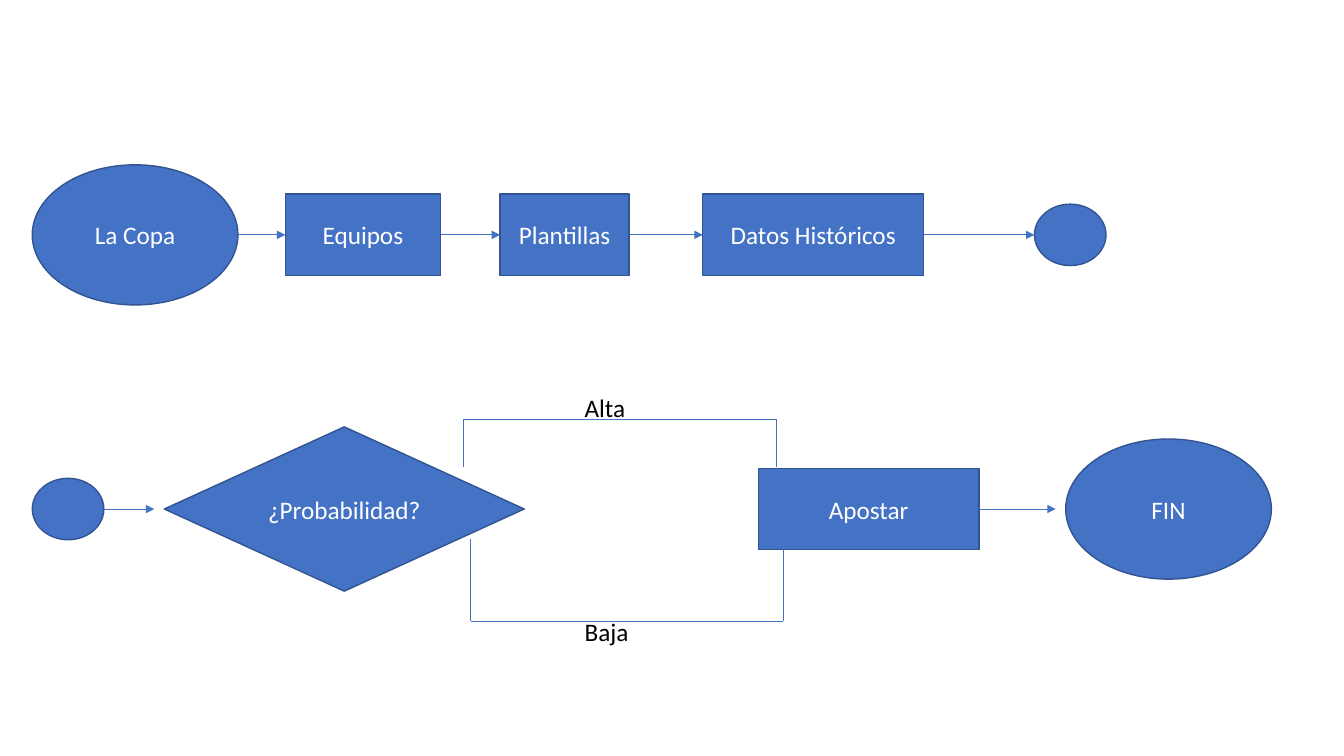
from lxml import etree
from pptx import Presentation
from pptx.dml.color import RGBColor
from pptx.enum.shapes import MSO_CONNECTOR, MSO_SHAPE
from pptx.enum.text import MSO_ANCHOR, PP_ALIGN
from pptx.oxml.ns import qn
from pptx.util import Inches, Pt

BLUE, OUTLINE, WHITE, BLACK = "4472C4", "325491", "FFFFFF", "000000"
OVAL, BOX, DECISION = MSO_SHAPE.OVAL, MSO_SHAPE.RECTANGLE, MSO_SHAPE.FLOWCHART_DECISION

DATA_STEPS = [
    (OVAL, 0.32, 2.04, 1.39, "La Copa"),
    (BOX, 2.83, 1.54, 0.81, "Equipos"),
    (BOX, 4.96, 1.28, 0.81, "Plantillas"),
    (BOX, 6.97, 2.19, 0.81, "Datos Históricos"),
    (OVAL, 10.26, 0.71, 0.61, ""),
]
BET_STEPS = [
    (OVAL, 0.32, 0.71, 0.61, ""),
    (DECISION, 1.63, 3.57, 1.63, "¿Probabilidad?"),
    (BOX, 7.52, 2.19, 0.81, "Apostar"),
    (OVAL, 10.57, 2.04, 1.39, "FIN"),
]


def rgb(color):
    """Return a colour from its hex string."""
    return RGBColor.from_string(color)


def write(shape, text, color, align):
    """Set the text of a shape and format its run."""
    p = shape.text_frame.paragraphs[0]
    p.text = text
    p.alignment = align
    for r in p.runs:
        r.font.name = "Calibri"
        r.font.size = Pt(18)
        r.font.color.rgb = rgb(color)


def add_step(slide, kind, left, mid_y, width, height, text):
    """Draw one step of the flow centred on mid_y."""
    sp = slide.shapes.add_shape(
        kind, Inches(left), Inches(mid_y - height / 2), Inches(width), Inches(height))
    sp.shadow.inherit = False
    sp.fill.solid()
    sp.fill.fore_color.rgb = rgb(BLUE)
    sp.line.color.rgb = rgb(OUTLINE)
    sp.line.width = Pt(1)
    sp.text_frame.vertical_anchor = MSO_ANCHOR.MIDDLE
    if text:
        write(sp, text, WHITE, PP_ALIGN.CENTER)


def add_line(slide, start, end, arrow=False):
    """Draw a thin line, with an arrowhead at its end if asked."""
    line = slide.shapes.add_connector(
        MSO_CONNECTOR.STRAIGHT, *(Inches(v) for v in (*start, *end)))
    line.line.color.rgb = rgb(BLUE)
    line.line.width = Pt(0.5)
    if arrow:
        etree.SubElement(line.line._get_or_add_ln(), qn("a:tailEnd"), type="triangle")
    etree.SubElement(line._element.spPr, qn("a:effectLst"))


def add_flow(slide, steps, mid_y, tip_gap=0):
    """Draw a row of steps with arrows between them, none leaving a decision."""
    for kind, left, width, height, text in steps:
        add_step(slide, kind, left, mid_y, width, height, text)
    for (kind, left, width, *_), (_, next_left, *_) in zip(steps, steps[1:]):
        if kind != DECISION:
            add_line(slide, (left + width, mid_y), (next_left - tip_gap, mid_y), True)


def add_branch(slide, left, width, near_y, far_y, label, label_top):
    """Draw a three-sided bracket and its label."""
    right = left + width
    for x in (left, right):
        add_line(slide, (x, near_y), (x, far_y))
    add_line(slide, (left, far_y), (right, far_y))
    tb = slide.shapes.add_textbox(
        Inches(5.7), Inches(label_top), Inches(0.97), Inches(0.4))
    tb.text_frame.word_wrap = True
    write(tb, label, BLACK, PP_ALIGN.LEFT)


def main():
    """Build the betting flow chart slide."""
    prs = Presentation()
    prs.slide_width, prs.slide_height = Inches(13.33), Inches(7.5)
    slide = prs.slides.add_slide(prs.slide_layouts[6])
    add_flow(slide, DATA_STEPS, 2.33)
    add_flow(slide, BET_STEPS, 5.05, tip_gap=0.1)
    add_branch(slide, 4.6, 3.1, 4.63, 4.16, "Alta", 3.84)
    add_branch(slide, 4.67, 3.1, 5.35, 6.16, "Baja", 6.07)
    prs.save("out.pptx")


if __name__ == "__main__":
    main()
